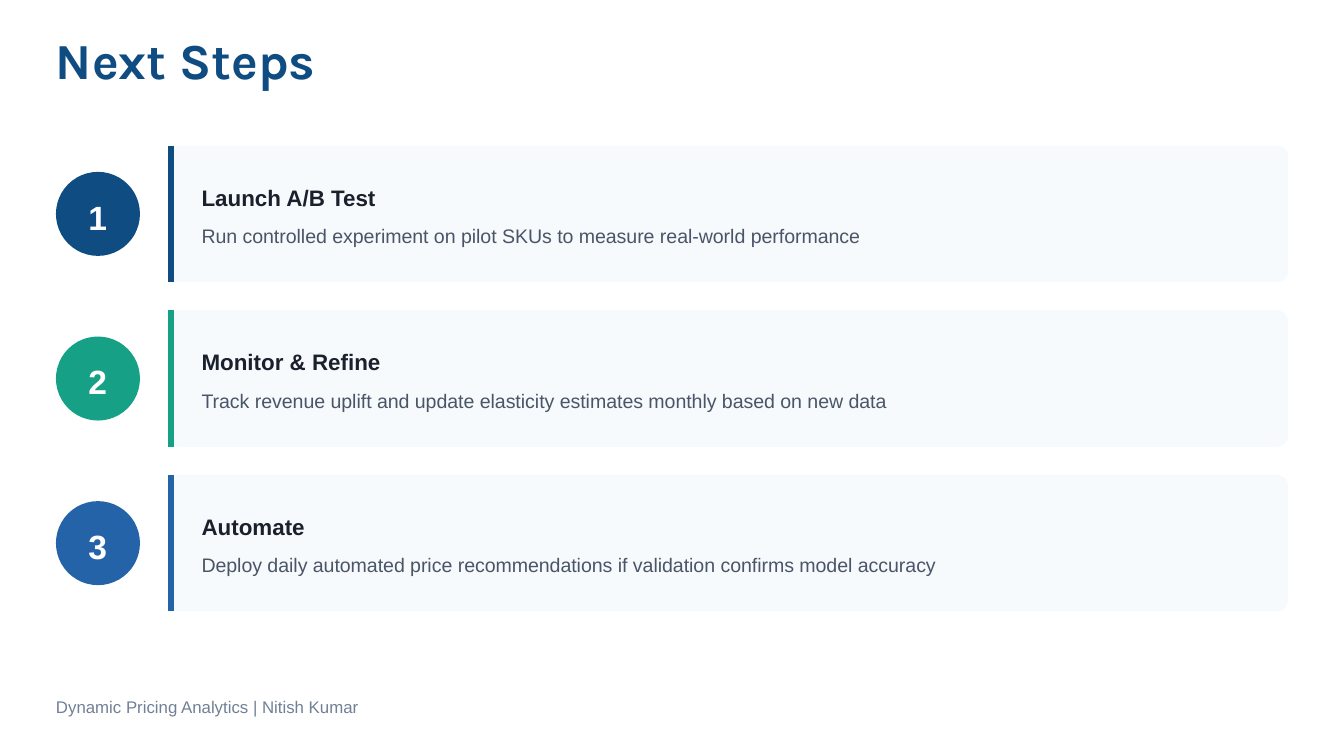
"""Build the Next Steps slide with three numbered action cards."""
from dataclasses import dataclass

from lxml import etree
from pptx import Presentation
from pptx.dml.color import RGBColor
from pptx.enum.shapes import MSO_CONNECTOR, MSO_SHAPE
from pptx.enum.text import PP_ALIGN
from pptx.oxml.ns import qn
from pptx.util import Inches, Pt

ROUNDED = MSO_SHAPE.ROUNDED_RECTANGLE
STRAIGHT = MSO_CONNECTOR.STRAIGHT
LEFT, CENTER = PP_ALIGN.LEFT, PP_ALIGN.CENTER

COLORS = {
    "navy": "0F4C81", "green": "16A085", "blue": "2563A8", "card": "F7FAFC",
    "white": "FFFFFF", "heading": "1A202C", "body": "4A5568", "footer": "718096",
}
SLIDE_W = 10
SLIDE_H = SLIDE_W * 9 / 16
UNIT = 1 / 24
MARGIN = 10 * UNIT
FIRST_TOP = 26 * UNIT
CARD_LEFT, CARD_W, CARD_H = 30 * UNIT, 200 * UNIT, 24.4 * UNIT
PITCH = CARD_H + 5 * UNIT
BADGE = 15 * UNIT
TEXT_LEFT, TEXT_W = 36 * UNIT, 8.03


@dataclass(frozen=True)
class Style:
    size: float
    color: str
    line: float
    bold: bool = False
    font: str = "Arial"
    before: float = 0
    after: float = 0
    align: PP_ALIGN = LEFT
    wrap: bool = True


@dataclass(frozen=True)
class Step:
    heading: str
    detail: str
    color: str


TITLE = Style(27, "navy", 30, bold=True, font="Karla")
NUMBER = Style(18, "white", 25.2, bold=True, align=CENTER, wrap=False)
HEADING = Style(12, "heading", 16.8, bold=True, before=3, after=4.5)
DETAIL = Style(10.5, "body", 15.8, before=3, after=3)
FOOTER = Style(9, "footer", 12, before=3, after=3)

STEPS = [
    Step("Launch A/B Test",
         "Run controlled experiment on pilot SKUs to measure real-world performance", "navy"),
    Step("Monitor & Refine",
         "Track revenue uplift and update elasticity estimates monthly based on new data", "green"),
    Step("Automate",
         "Deploy daily automated price recommendations if validation confirms model accuracy", "blue"),
]


def rgb(name: str) -> RGBColor:
    return RGBColor.from_string(COLORS[name])


def add_text(s, text: str, x: float, y: float, w: float, h: float, style: Style) -> None:
    tf = s.shapes.add_textbox(Inches(x), Inches(y), Inches(w), Inches(h)).text_frame
    tf.margin_left = tf.margin_top = tf.margin_right = tf.margin_bottom = 0
    tf.word_wrap = style.wrap
    tf.text = text
    p = tf.paragraphs[0]
    p.alignment = style.align
    p.line_spacing = Pt(style.line)
    p.space_before, p.space_after = Pt(style.before), Pt(style.after)
    font = p.runs[0].font
    font.name, font.size, font.bold = style.font, Pt(style.size), style.bold
    font.color.rgb = rgb(style.color)


def add_round(s, x: float, y: float, w: float, h: float, radius: float, color: str) -> None:
    sp = s.shapes.add_shape(ROUNDED, Inches(x), Inches(y), Inches(w), Inches(h))
    sp.adjustments[0] = radius
    sp.shadow.inherit = False
    sp.fill.solid()
    sp.fill.fore_color.rgb = rgb(color)
    sp.line.fill.background()


def add_accent(s, x: float, y: float, h: float, color: str) -> None:
    line = s.shapes.add_connector(STRAIGHT, Inches(x), Inches(y), Inches(x), Inches(y + h))
    line.line.color.rgb = rgb(color)
    line.line.width = Pt(3)
    etree.SubElement(line._element.spPr, qn("a:effectLst"))


def add_step(s, number: int, step: Step) -> None:
    top = FIRST_TOP + (number - 1) * PITCH
    add_round(s, MARGIN, top + (CARD_H - BADGE) / 2, BADGE, BADGE, 0.5, step.color)
    add_text(s, str(number), MARGIN + 0.24, top + 0.33, 0.14, 0.35, NUMBER)
    add_round(s, CARD_LEFT, top, CARD_W, CARD_H, 0.08, "card")
    add_accent(s, CARD_LEFT + UNIT / 2, top, CARD_H, step.color)
    add_text(s, step.heading, TEXT_LEFT, top + 0.25, TEXT_W, 0.23, HEADING)
    add_text(s, step.detail, TEXT_LEFT, top + 0.54, TEXT_W, 0.22, DETAIL)


def main() -> None:
    prs = Presentation()
    prs.slide_width, prs.slide_height = Inches(SLIDE_W), Inches(SLIDE_H)
    s = prs.slides.add_slide(prs.slide_layouts[6])
    s.background.fill.solid()
    s.background.fill.fore_color.rgb = rgb("white")
    add_text(s, "Next Steps", MARGIN, 0.25, 4.69, 0.42, TITLE)
    for number, step in enumerate(STEPS, 1):
        add_step(s, number, step)
    add_text(s, "Dynamic Pricing Analytics | Nitish Kumar", MARGIN, 5.17, 9.35, 0.17, FOOTER)
    prs.save("out.pptx")


if __name__ == "__main__":
    main()
